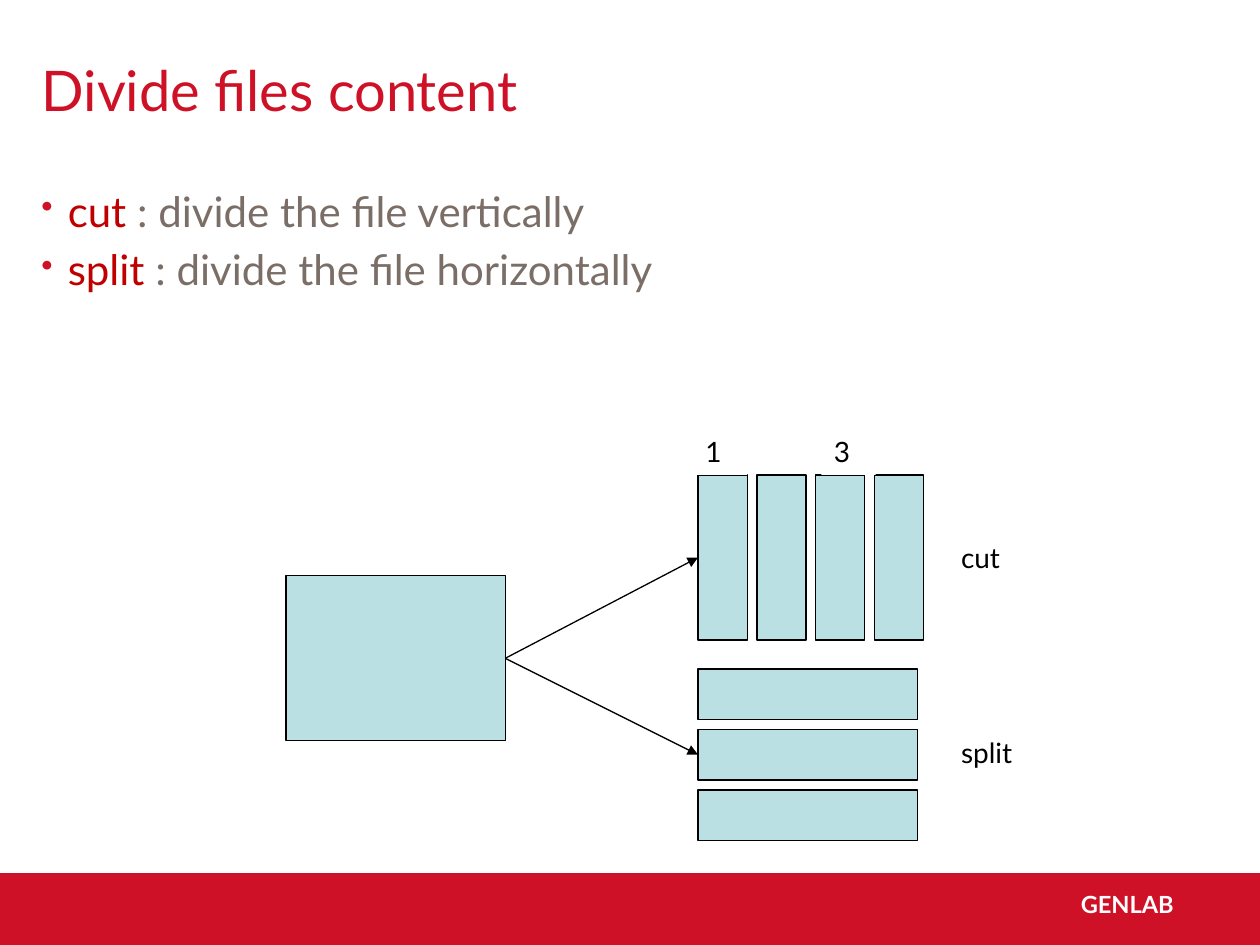
"""Build the slide on dividing file content with cut and split."""
from typing import NamedTuple, Optional

from lxml import etree
from pptx import Presentation
from pptx import util as u
from pptx.dml.color import RGBColor
from pptx.enum import shapes, text
from pptx.oxml import ns

RED = RGBColor(0xCE, 0x11, 0x26)
DARK_RED = RGBColor(0xC0, 0x00, 0x00)
GREY = RGBColor(0x7A, 0x6E, 0x67)
TEAL = RGBColor(0xBB, 0xE0, 0xE3)
WHITE = RGBColor(0xFF, 0xFF, 0xFF)
BLACK = RGBColor(0x00, 0x00, 0x00)
FONT = "Lato"


class Area(NamedTuple):
    left: float
    top: float
    width: float
    height: float

    def lengths(self) -> list:
        return [u.Inches(value) for value in self]


class Label(NamedTuple):
    words: str
    area: Area


class Command(NamedTuple):
    name: str
    effect: str


SOURCE_FILE = Area(2.27, 4.57, 1.74, 1.31)
COLUMNS = [Area(5.54 + 0.467 * i, 3.77, 0.39, 1.31) for i in range(4)]
ROWS = [Area(5.54, 5.31 + 0.48 * i, 1.74, 0.4) for i in range(3)]
LABELS = [
    Label("cut", Area(7.53, 4.24, 0.7, 0.37)),
    Label("1", Area(5.5, 3.4, 0.43, 0.37)),
    Label("3", Area(6.52, 3.4, 0.43, 0.37)),
    Label("split", Area(7.53, 5.79, 0.7, 0.37)),
]
COMMANDS = [
    Command("cut", " : divide the file vertically"),
    Command("split", " : divide the file horizontally"),
]


def add_span(para, words: str, *, size: float, color: RGBColor, bold: bool = False) -> None:
    span = para.add_run()
    span.text = words
    span.font.name = FONT
    span.font.size = u.Pt(size)
    span.font.bold = bold
    span.font.color.rgb = color


def add_text_box(page, area: Area, fill: Optional[RGBColor] = None):
    box = page.shapes.add_textbox(*area.lengths())
    box.text_frame.word_wrap = True
    if fill is not None:
        box.fill.solid()
        box.fill.fore_color.rgb = fill
    return box.text_frame


def add_rectangle(page, area: Area, fill: RGBColor, line: Optional[RGBColor] = None) -> None:
    box = page.shapes.add_shape(shapes.MSO_SHAPE.RECTANGLE, *area.lengths())
    box.shadow.inherit = False
    box.fill.solid()
    box.fill.fore_color.rgb = fill
    if line is None:
        box.line.fill.background()
    else:
        box.line.color.rgb = line
        box.line.width = u.Pt(0.75)


def add_arrow(page, origin: Area, target: Area) -> None:
    start = origin.left + origin.width, origin.top + origin.height / 2
    end = target.left, target.top + target.height / 2
    arrow = page.shapes.add_connector(
        shapes.MSO_CONNECTOR.STRAIGHT, *[u.Inches(value) for value in start + end]
    )
    arrow.line.color.rgb = BLACK
    arrow.line.width = u.Pt(0.75)
    etree.SubElement(arrow.line._get_or_add_ln(), ns.qn("a:tailEnd"), type="triangle")
    etree.SubElement(arrow._element.spPr, ns.qn("a:effectLst"))


def add_bullet(para) -> None:
    para.space_before = u.Pt(4.8)
    properties = para._p.get_or_add_pPr()
    properties.set("marL", str(u.Inches(0.21)))
    properties.set("indent", str(-u.Inches(0.21)))
    color = etree.SubElement(properties, ns.qn("a:buClr"))
    etree.SubElement(color, ns.qn("a:srgbClr"), val=str(RED))
    etree.SubElement(properties, ns.qn("a:buSzPct"), val="80000")
    etree.SubElement(properties, ns.qn("a:buChar"), char="•")


def add_title(page, words: str) -> None:
    title = page.shapes.title
    title.left, title.top, title.width, title.height = Area(0.23, 0.08, 8.5, 1.25).lengths()
    frame = title.text_frame
    frame.vertical_anchor = text.MSO_ANCHOR.MIDDLE
    para = frame.paragraphs[0]
    para.alignment = text.PP_ALIGN.LEFT
    add_span(para, words, size=32, color=RED)


def add_commands(page) -> None:
    frame = add_text_box(page, Area(0.23, 1.42, 9.6, 5.08))
    for index, command in enumerate(COMMANDS):
        para = frame.add_paragraph() if index else frame.paragraphs[0]
        add_bullet(para)
        add_span(para, command.name, size=24, color=DARK_RED)
        add_span(para, command.effect, size=24, color=GREY)


def add_footer(page) -> None:
    add_rectangle(page, Area(0, 6.93, 10, 0.57), RED)
    frame = add_text_box(page, Area(8.48, 7.01, 1.08, 0.33))
    add_span(frame.paragraphs[0], "GENLAB", size=13.5, color=WHITE, bold=True)


def main() -> None:
    deck = Presentation()
    deck.slide_width, deck.slide_height = u.Inches(10), u.Inches(7.5)
    page = deck.slides.add_slide(deck.slide_layouts.get_by_name("Title Only"))
    add_footer(page)
    add_title(page, "Divide files content")
    add_commands(page)
    for area in [SOURCE_FILE, *COLUMNS, *ROWS]:
        add_rectangle(page, area, TEAL, BLACK)
    for target in (COLUMNS[0], ROWS[1]):
        add_arrow(page, SOURCE_FILE, target)
    for label in LABELS:
        frame = add_text_box(page, label.area, WHITE)
        add_span(frame.paragraphs[0], label.words, size=16, color=BLACK)
    deck.save("out.pptx")


if __name__ == "__main__":
    main()
